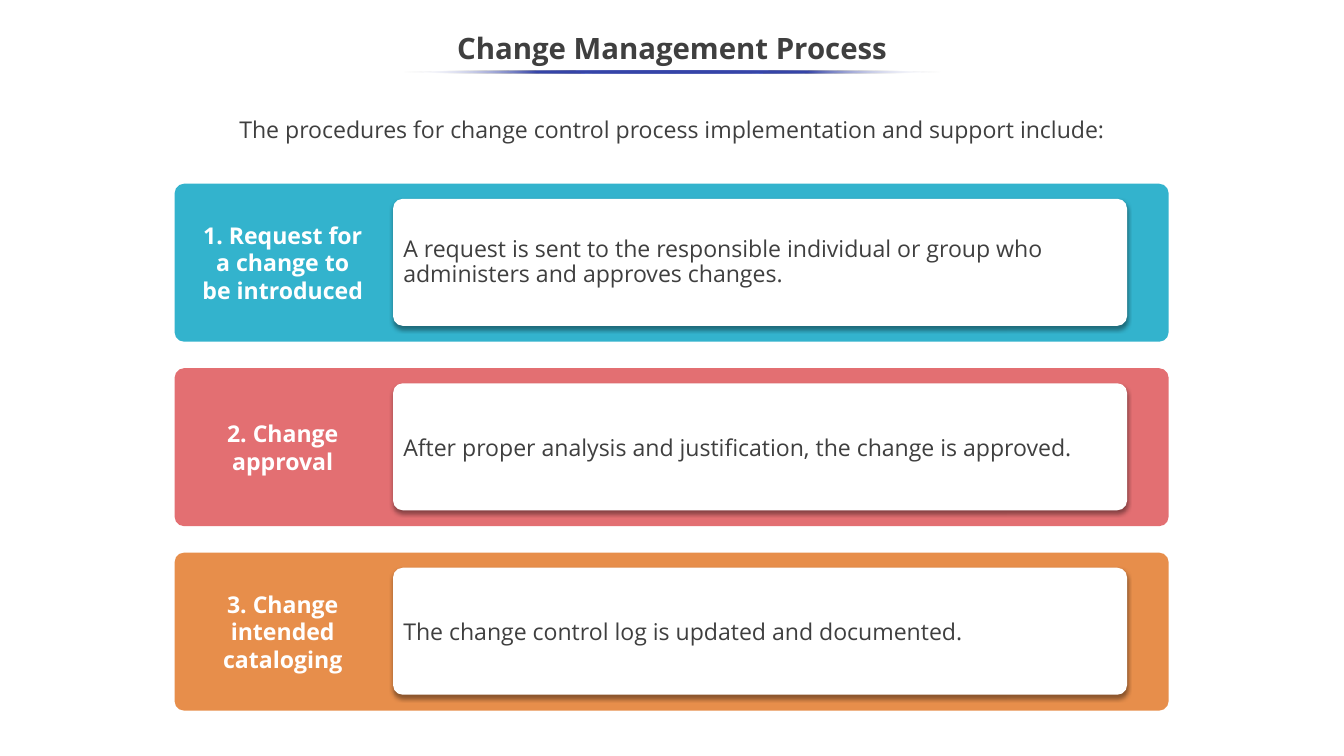
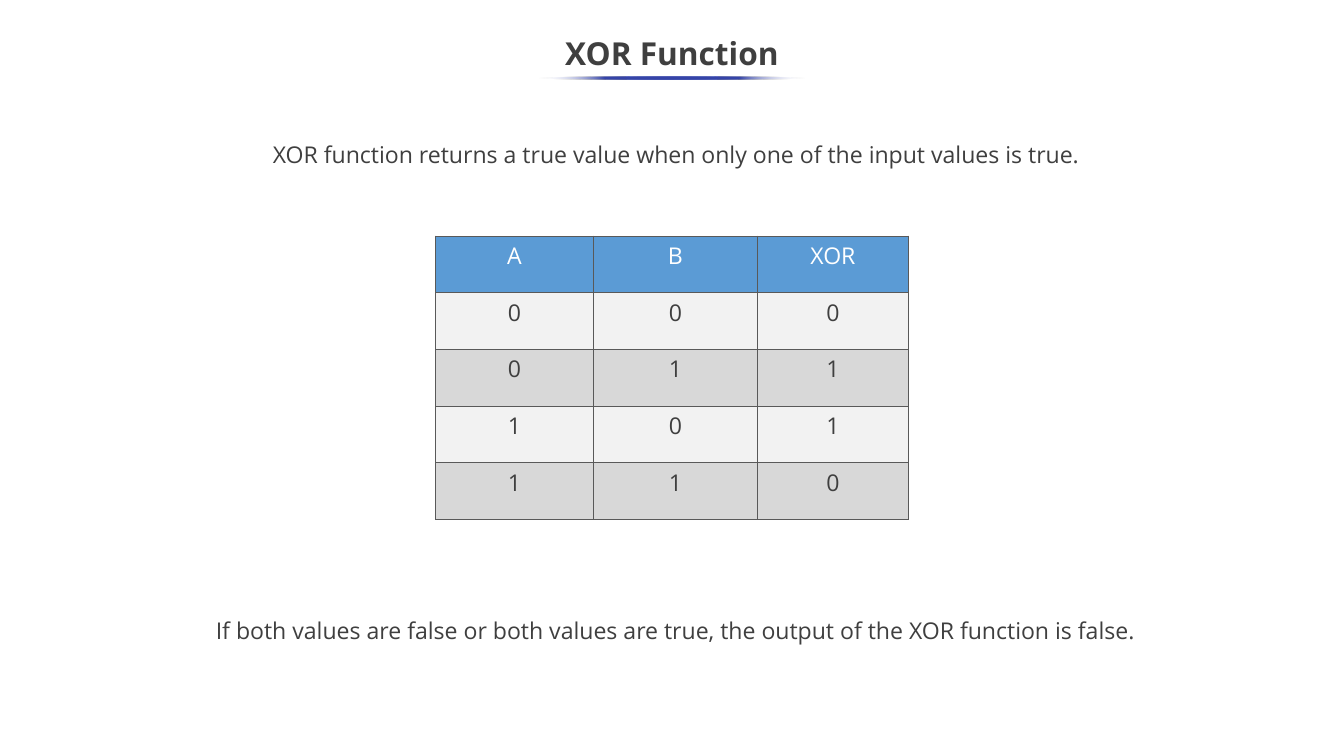
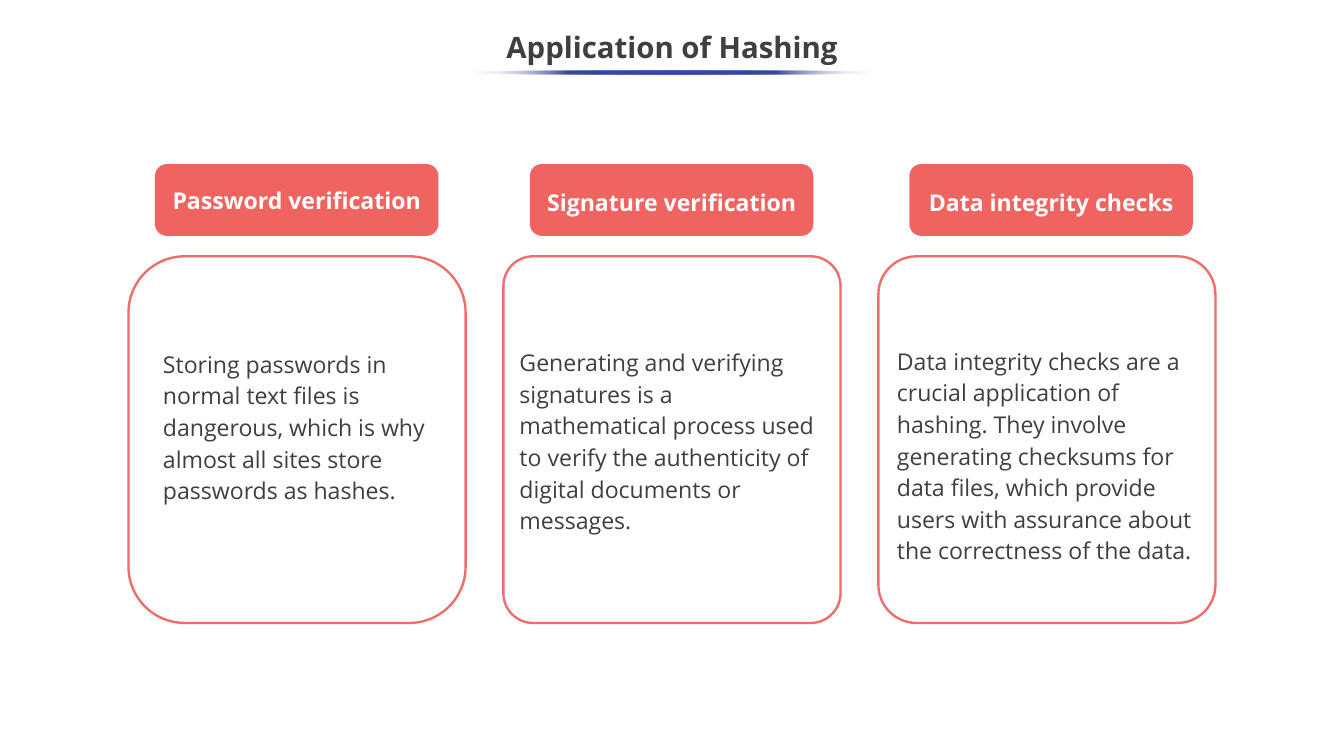
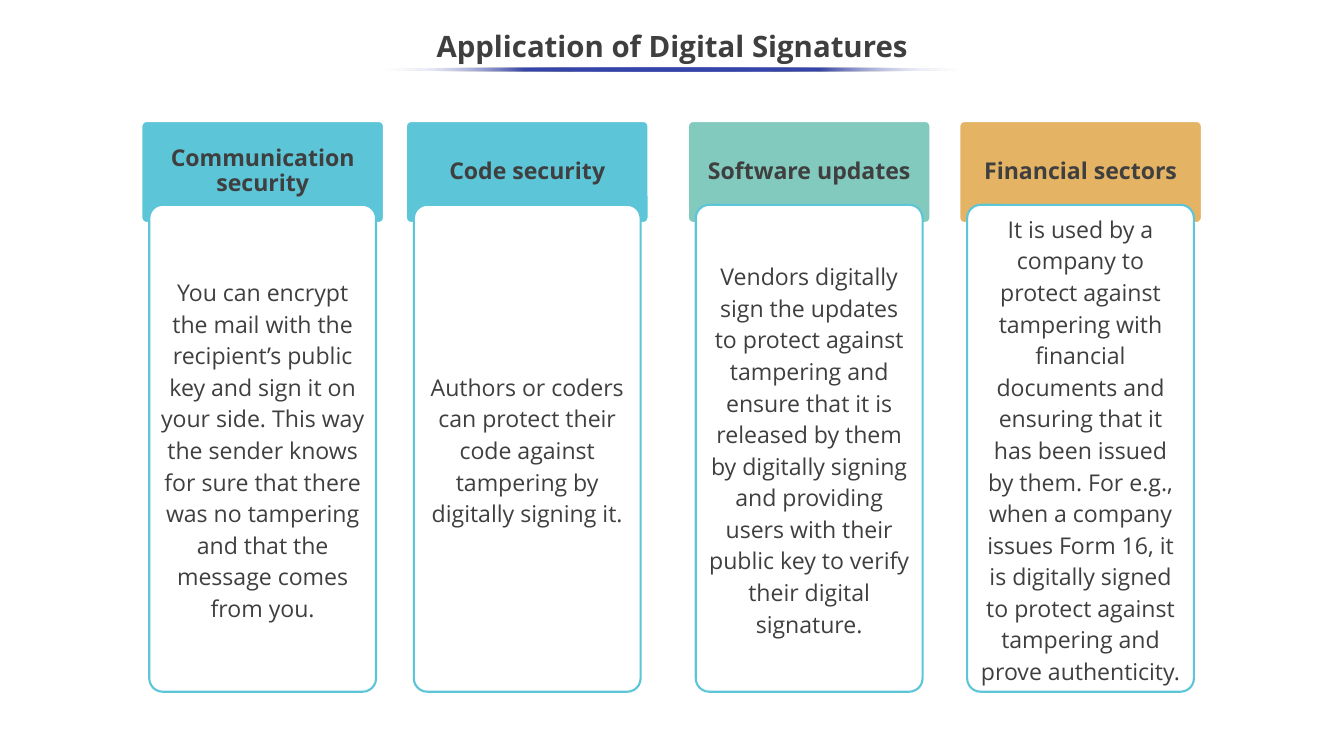
from lxml import etree
from pptx import Presentation
from pptx.dml.color import RGBColor
from pptx.enum.shapes import MSO_SHAPE as SHAPE
from pptx.enum.text import MSO_ANCHOR as ANCHOR, MSO_AUTO_SIZE as AUTO, PP_ALIGN as ALIGN
from pptx.oxml import parse_xml
from pptx.util import Inches, Pt

W, H = 17.78, 10
FONT, SIZE = "Open Sans", 22
INK, WHITE, ACCENT = "3F3F3F", "FFFFFF", "3645A9"
CORAL, CORAL_LINE, CYAN = "EF6461", "EE6C69", "5CC5D8"
NS = "http://schemas.openxmlformats.org/drawingml/2006/main"

TITLES = [
    ("Change Management Process", 28, 0.29, 0.93, 7.12),
    ("XOR Function", 30.1, 0.36, 1.01, 3.54),
    ("Application of Hashing", 28, 0.27, 0.94, 5.48),
    ("Application of Digital Signatures", 28, 0.26, 0.9, 7.8),
]

CHANGE_INTRO = "The procedures for change control process implementation and support include:"
CHANGE_STEPS = [
    ("33B3CD", ["1. Request for", "a change to", "be introduced"], 1.15, 0.9,
     "A request is sent to the responsible individual or group who administers and approves changes."),
    ("E36F72", ["2. Change approval"], 0.94, None,
     "After proper analysis and justification, the change is approved."),
    ("E78E4B", ["3. Change intended cataloging"], 1.15, None,
     "The change control log is updated and documented."),
]

XOR_NOTES = [
    ("XOR function returns a true value when only one of the input values is true.", 3.03, 1.76, 11.73),
    ("If both values are false or both values are true, the output of the XOR function is false.",
     2.48, 8.06, 12.81),
]
XOR_ROWS = [("A", "B", "XOR"), (0, 0, 0), (0, 1, 1), (1, 0, 1), (1, 1, 0)]
XOR_COLS = [2.09, 2.17, 2]
XOR_HEAD, XOR_BANDS = "5B9BD5", ["D8D8D8", "F2F2F2"]

HASH_CARDS = [
    ("Password verification", 0.35, 0.167, 0.14, (0, 0.38),
     "Storing passwords in normal text files is dangerous, which is why almost all sites store "
     "passwords as hashes."),
    ("Signature verification", 0.35, 0.088, 0, (0, 0),
     "Generating and verifying signatures is a mathematical process used to verify the "
     "authenticity of digital documents or messages."),
    ("Data integrity checks", 0.41, 0.113, 0, (0.38, 0),
     "Data integrity checks are a crucial application of hashing. They involve generating "
     "checksums for data files, which provide users with assurance about the correctness of the data."),
]

SIGNATURE_USES = [
    (1.87, CYAN, "Communication security",
     "You can encrypt the mail with the recipient’s public key and sign it on your side. This way "
     "the sender knows for sure that there was no tampering and that the message comes from you."),
    (5.37, CYAN, "Code security",
     "Authors or coders can protect their code against tampering by digitally signing it."),
    (9.1, "82C9BE", "Software updates",
     "Vendors digitally sign the updates to protect against tampering and ensure that it is "
     "released by them by digitally signing and providing users with their public key to verify "
     "their digital signature."),
    (12.69, "E4B363", "Financial sectors",
     "It is used by a company to protect against tampering with financial documents and ensuring "
     "that it has been issued by them. For e.g., when a company issues Form 16, it is digitally "
     "signed to protect against tampering and prove authenticity."),
]


def rgb(value):
    return RGBColor.from_string(value)


def box(values):
    return [Inches(v) for v in values]


def write(tf, paras, color=INK, size=SIZE, bold=False, align=ALIGN.CENTER,
          spacing=None, anchor=ANCHOR.MIDDLE, indent=0):
    tf.word_wrap = True
    tf.vertical_anchor = anchor
    for i, text in enumerate(paras):
        p = tf.paragraphs[0] if i == 0 else tf.add_paragraph()
        p.text = text
        p.alignment = align
        if spacing:
            p.line_spacing = spacing
        if indent:
            p._p.get_or_add_pPr().set("marL", str(Inches(indent)))
        p.font.name, p.font.size, p.font.bold = FONT, Pt(size), bold
        p.font.color.rgb = rgb(color)


def add_text(slide, at, paras, **style):
    tf = slide.shapes.add_textbox(*box(at)).text_frame
    write(tf, paras, **style)
    return tf


def add_round(slide, at, adj, fill=None, line=None, width=2):
    sp = slide.shapes.add_shape(SHAPE.ROUNDED_RECTANGLE, *box(at))
    sp.adjustments[0] = adj
    sp.shadow.inherit = False
    if fill:
        sp.fill.solid()
        sp.fill.fore_color.rgb = rgb(fill)
    else:
        sp.fill.background()
    if line:
        sp.line.color.rgb = rgb(line)
        sp.line.width = Pt(width)
    else:
        sp.line.fill.background()
    return sp


def add_shadow(sp):
    effects = sp._element.spPr.find(f"{{{NS}}}effectLst")
    effects.append(parse_xml(
        f'<a:outerShdw xmlns:a="{NS}" blurRad="{Pt(4)}" dist="{Pt(3)}" dir="5400000" algn="t" '
        'rotWithShape="0"><a:srgbClr val="000000"><a:alpha val="40000"/></a:srgbClr></a:outerShdw>'))


def fade(sp):
    sp.fill.gradient()
    grad = sp._element.spPr.find(f"{{{NS}}}gradFill")
    stops = grad.find(f"{{{NS}}}gsLst")
    for stop in list(stops):
        stops.remove(stop)
    for pos in range(0, 101, 25):
        stop = etree.SubElement(stops, f"{{{NS}}}gs", pos=str(pos * 1000))
        edge = pos in (0, 100)
        color = etree.SubElement(stop, f"{{{NS}}}srgbClr", val=WHITE if edge else ACCENT)
        if edge:
            etree.SubElement(color, f"{{{NS}}}alpha", val="0")
    sp.fill.gradient_angle = 180


def add_titled_slide(prs, title, size, top, rule_top, rule_w):
    slide = prs.slides.add_slide(prs.slide_layouts[6])
    add_text(slide, (0, top, W, 0.75), [title], size=size, bold=True, spacing=0.9)
    rule = slide.shapes.add_shape(SHAPE.OVAL, *box(((W - rule_w) / 2, rule_top, rule_w, 0.04)))
    rule.shadow.inherit = False
    rule.line.fill.background()
    fade(rule)
    return slide


def fill_change(slide):
    tf = add_text(slide, (2.8, 1.48, 12.18, 0.47), [CHANGE_INTRO], anchor=ANCHOR.TOP)
    tf.auto_size = AUTO.SHAPE_TO_FIT_TEXT
    band_h = 2.09
    for i, (color, label, label_h, spacing, text) in enumerate(CHANGE_STEPS):
        top = 2.43 + 2.44 * i
        add_round(slide, (2.31, top, 13.15, band_h), 0.06, color)
        panel = add_round(slide, (5.2, top + 0.2, 9.71, 1.68), 0.076, WHITE)
        add_shadow(panel)
        write(panel.text_frame, [text], align=ALIGN.LEFT, spacing=spacing)
        add_text(slide, (2.37, top + (band_h - label_h) / 2, 2.74, label_h), label,
                 color=WHITE, bold=True)


def add_borders(cell, color="595959", width=0.75):
    tcPr = cell._tc.get_or_add_tcPr()
    for i, side in enumerate("LRTB"):
        tcPr.insert(i, parse_xml(
            f'<a:ln{side} xmlns:a="{NS}" w="{Pt(width)}"><a:solidFill><a:srgbClr val="{color}"/>'
            f'</a:solidFill></a:ln{side}>'))


def fill_xor(slide):
    for text, left, top, width in XOR_NOTES:
        tf = add_text(slide, (left, top, width, 0.5), [text], spacing=1.15, indent=0.1)
        tf.auto_size = AUTO.SHAPE_TO_FIT_TEXT
    row_h = 0.75
    at = (5.76, 3.12, sum(XOR_COLS), row_h * len(XOR_ROWS))
    table = slide.shapes.add_table(len(XOR_ROWS), len(XOR_COLS), *box(at)).table
    for col, width in zip(table.columns, XOR_COLS):
        col.width = Inches(width)
    for r, values in enumerate(XOR_ROWS):
        table.rows[r].height = Inches(row_h)
        for c, value in enumerate(values):
            cell = table.cell(r, c)
            cell.fill.solid()
            cell.fill.fore_color.rgb = rgb(XOR_BANDS[r % 2] if r else XOR_HEAD)
            add_borders(cell)
            write(cell.text_frame, [str(value)], color=INK if r else WHITE, anchor=ANCHOR.TOP)


def fill_hashing(slide):
    for i, (head, shift, adj, indent, (above, below), text) in enumerate(HASH_CARDS):
        left = 1.7 + 4.96 * i
        card = add_round(slide, (left, 3.39, 4.46, 4.85), adj, line=CORAL_LINE, width=2.25)
        tf = card.text_frame
        tf.margin_top, tf.margin_bottom = Inches(above), Inches(below)
        write(tf, [text], align=ALIGN.LEFT, spacing=1.14, indent=indent)
        tab = add_round(slide, (left + shift, 2.17, 3.75, 0.95), 0.167, CORAL)
        write(tab.text_frame, [head], color=WHITE, bold=True, spacing=1.14 if i else None)


def fill_signatures(slide):
    head_w, card_w = 3.21, 3
    for left, color, head, text in SIGNATURE_USES:
        tab = add_round(slide, (left, 1.6, head_w, 1.35), 0.05, color, WHITE)
        write(tab.text_frame, [head], bold=True, spacing=0.9)
        card = add_round(slide, (left + (head_w - card_w) / 2, 2.71, card_w, 6.44), 0.059, WHITE, CYAN)
        write(card.text_frame, [text], spacing=1.14)


def main():
    prs = Presentation()
    prs.slide_width, prs.slide_height = Inches(W), Inches(H)
    fillers = [fill_change, fill_xor, fill_hashing, fill_signatures]
    for title, fill in zip(TITLES, fillers):
        fill(add_titled_slide(prs, *title))
    prs.save("out.pptx")


if __name__ == "__main__":
    main()
